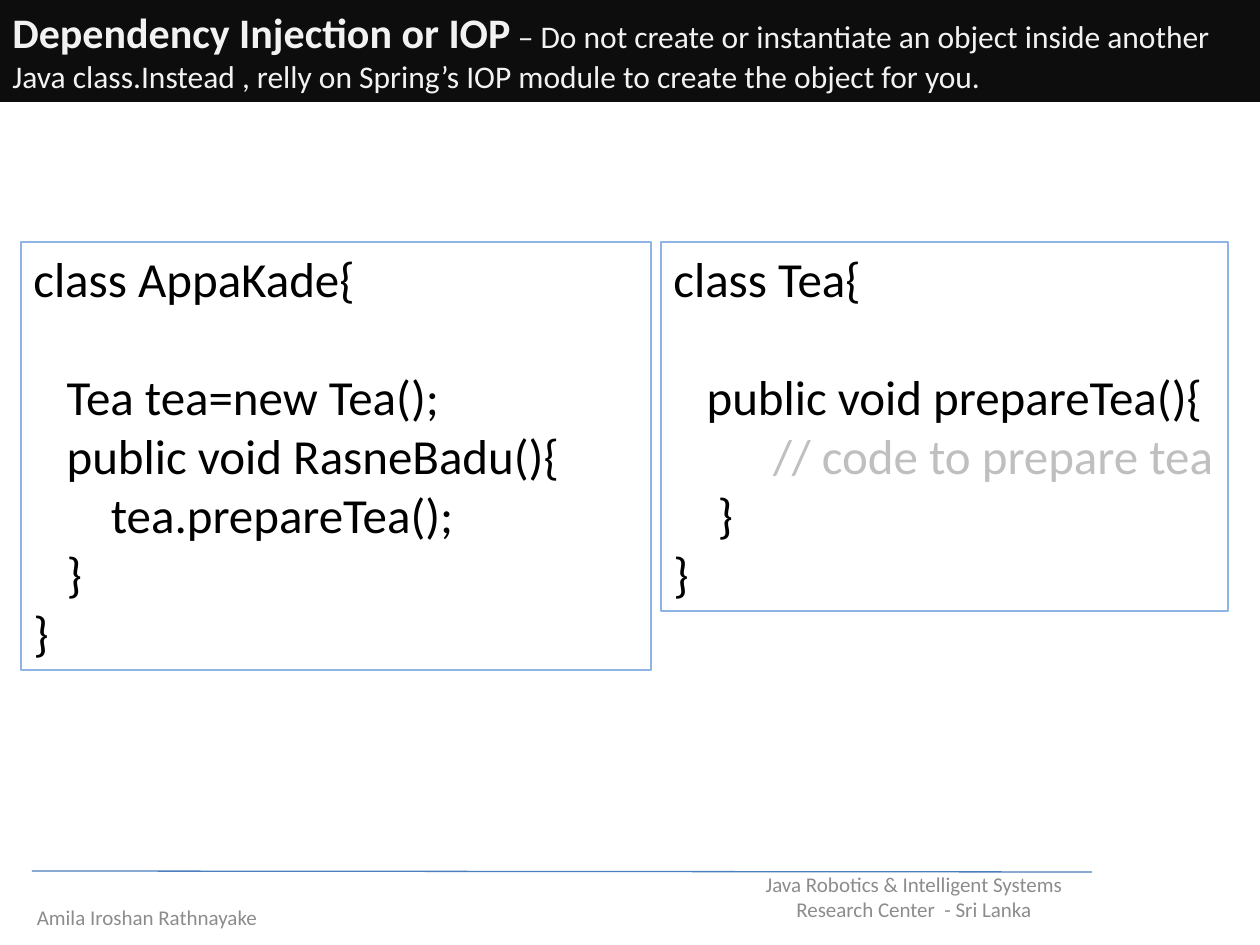
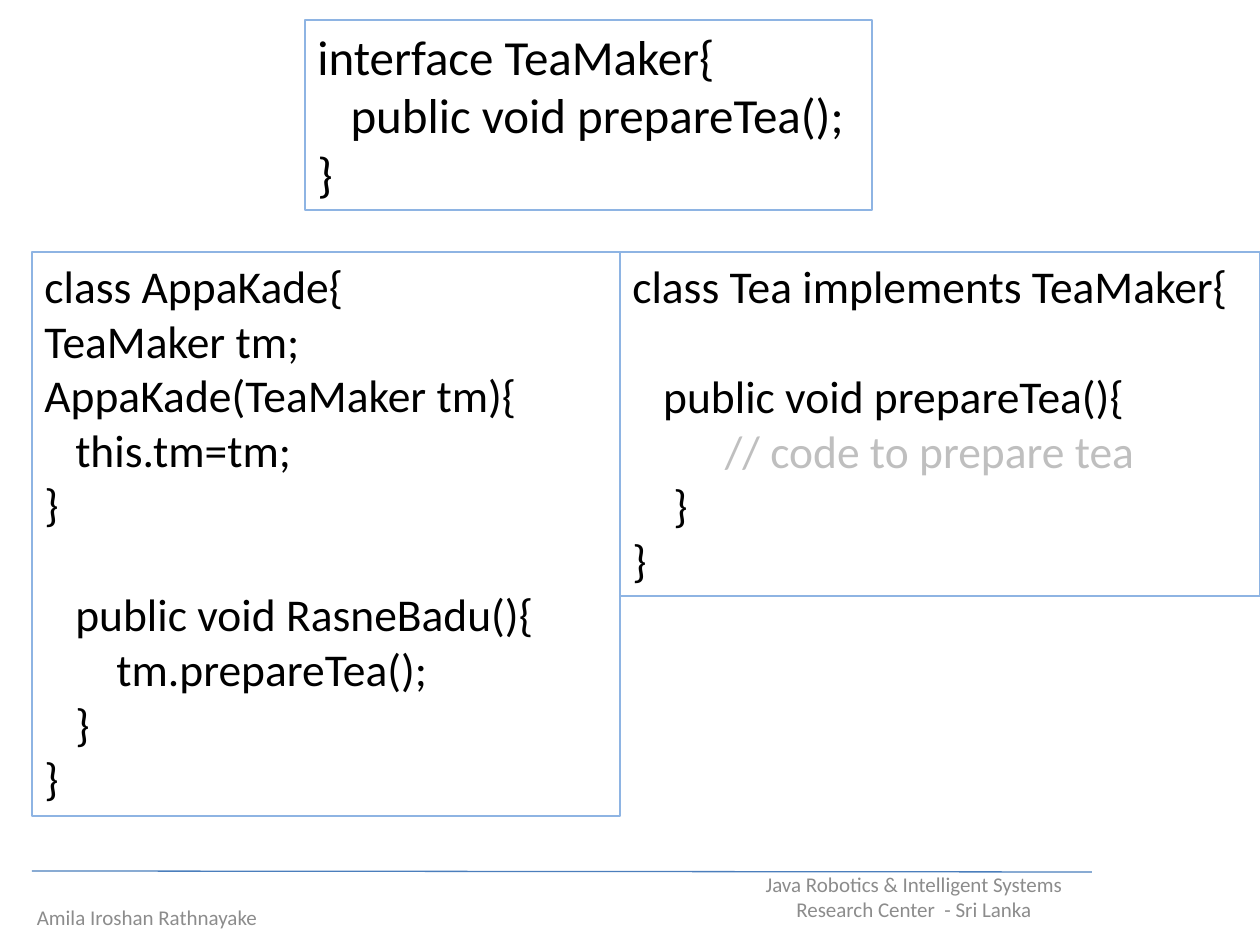
"""Build two slides on dependency injection with Java code boxes."""
from lxml.etree import SubElement
from pptx import Presentation
from pptx.dml.color import RGBColor
from pptx.enum.shapes import MSO_CONNECTOR, MSO_SHAPE
from pptx.enum.text import MSO_ANCHOR, MSO_AUTO_SIZE, PP_ALIGN
from pptx.oxml.ns import qn
from pptx.util import Inches, Pt

BLACK = RGBColor(0x00, 0x00, 0x00)
BAND = RGBColor(0x0D, 0x0D, 0x0D)
PALE = RGBColor(0xF2, 0xF2, 0xF2)
GREY = RGBColor(0x8C, 0x8C, 0x8C)
NOTE = RGBColor(0xBF, 0xBF, 0xBF)
EDGE = RGBColor(0x8E, 0xB4, 0xE3)
RULE = RGBColor(0x4B, 0x7E, 0xBC)

FONT = "Calibri"
SCALE = Inches(1) / 126
SPACE = 0.226
LEAD = 1.22

TITLE = [
    ("Dependency Injection or IOP", 24, True),
    (" – Do not create or instantiate an object inside another Java class."
     "Instead , relly on Spring’s IOP module to create the object for you.", 18, False),
]
FOOTER = [
    ("Java Robotics & Intelligent Systems Research Center  - Sri Lanka", (714, 872, 400, 50)),
    ("Amila Iroshan Rathnayake", (0, 892, 294, 50)),
]

# Each code line is (indent in characters, text, empty lines above).
TEA = [
    (3, "public void prepareTea(){", 1),
    (9, "// code to prepare tea", 0),
    (4, "}", 0),
    (0, "}", 0),
]
SLIDES = [
    {"title": TITLE, "boxes": [
        ((21, 242, 630, 428), 28, [
            (0, "class AppaKade{", 0),
            (3, "Tea tea=new Tea();", 1),
            (3, "public void RasneBadu(){", 0),
            (7, "tea.prepareTea();", 0),
            (3, "}", 0),
            (0, "}", 0),
        ]),
        ((661, 242, 567, 369), 28, [(0, "class Tea{", 0)] + TEA),
    ]},
    {"title": None, "boxes": [
        ((32, 252, 588, 564), 26, [
            (0, "class AppaKade{", 0),
            (0, "TeaMaker tm;", 0),
            (0, "AppaKade(TeaMaker tm){", 0),
            (3, "this.tm=tm;", 0),
            (0, "}", 0),
            (3, "public void RasneBadu(){", 1),
            (7, "tm.prepareTea();", 0),
            (3, "}", 0),
            (0, "}", 0),
        ]),
        ((620, 252, 640, 344), 26, [(0, "class Tea implements TeaMaker{", 0)] + TEA),
        ((305, 20, 567, 190), 28, [
            (0, "interface TeaMaker{", 0),
            (3, "public void prepareTea();", 0),
            (0, "}", 0),
        ]),
    ]},
]


def px(*nums):
    return [round(num * SCALE) for num in nums]


def write(para, text, size=28, color=BLACK, bold=False, align=PP_ALIGN.LEFT, indent=0, above=0):
    para.alignment = align
    para.space_before = Pt(above * size * LEAD)
    para._p.get_or_add_pPr().set("marL", str(Pt(indent * size * SPACE)))
    run = para.add_run()
    run.text = text
    font = run.font
    font.name, font.size, font.bold = FONT, Pt(size), bold
    font.color.rgb = color


def add_rect(slide, place, fill=None, edge=None):
    rect = slide.shapes.add_shape(MSO_SHAPE.RECTANGLE, *px(*place))
    rect.shadow.inherit = False
    if fill is None:
        rect.fill.background()
    else:
        rect.fill.solid()
        rect.fill.fore_color.rgb = fill
    if edge is None:
        rect.line.fill.background()
    else:
        rect.line.color.rgb = edge
        rect.line.width = Pt(0.75)
    frame = rect.text_frame
    frame.word_wrap = True
    frame.auto_size = MSO_AUTO_SIZE.SHAPE_TO_FIT_TEXT
    frame.vertical_anchor = MSO_ANCHOR.TOP
    return frame


def add_footer(slide):
    for text, place in FOOTER:
        frame = slide.shapes.add_textbox(*px(*place)).text_frame
        frame.word_wrap = True
        frame.vertical_anchor = MSO_ANCHOR.MIDDLE
        write(frame.paragraphs[0], text, size=12, color=GREY, align=PP_ALIGN.CENTER)
    rule = slide.shapes.add_connector(MSO_CONNECTOR.STRAIGHT, *px(32, 871, 1092, 872))
    rule.line.color.rgb = RULE
    rule.line.width = Pt(0.75)
    SubElement(rule._element.spPr, qn("a:effectLst"))


def add_title(slide, parts):
    para = add_rect(slide, (0, 0, 1260, 102), fill=BAND).paragraphs[0]
    for text, size, bold in parts:
        write(para, text, size=size, color=PALE, bold=bold)


def add_code(slide, place, size, lines):
    frame = add_rect(slide, place, edge=EDGE)
    for row, (indent, text, above) in enumerate(lines):
        para = frame.add_paragraph() if row else frame.paragraphs[0]
        color = NOTE if text.startswith("//") else BLACK
        write(para, text, size=size, color=color, indent=indent, above=above)


def main():
    deck = Presentation()
    deck.slide_width, deck.slide_height = px(1260, 945)
    for page in SLIDES:
        slide = deck.slides.add_slide(deck.slide_layouts[6])
        add_footer(slide)
        if page["title"]:
            add_title(slide, page["title"])
        for place, size, lines in page["boxes"]:
            add_code(slide, place, size, lines)
    deck.save("out.pptx")


if __name__ == "__main__":
    main()
